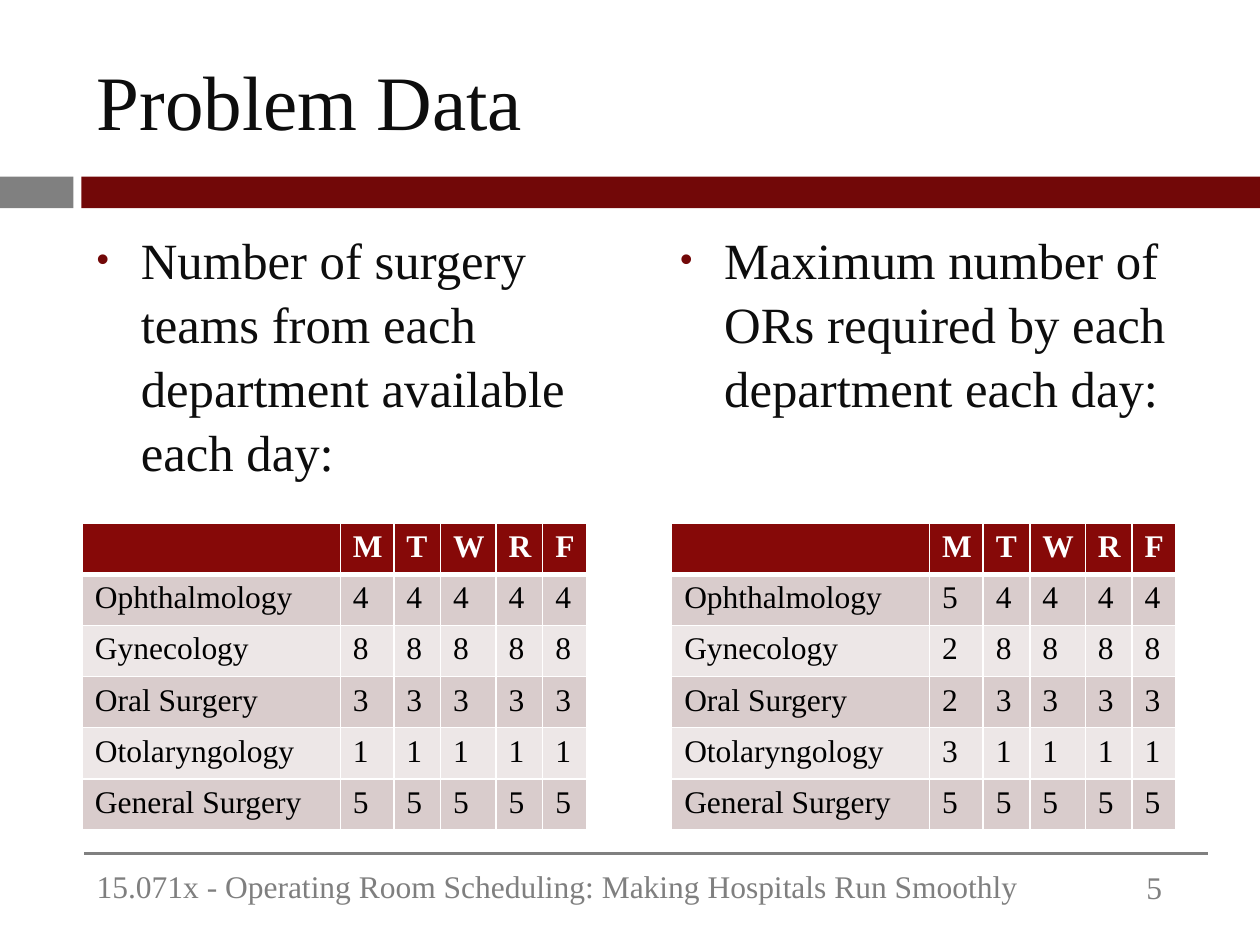
from dataclasses import dataclass

from lxml.etree import SubElement as Sub
from pptx import Presentation
from pptx.dml.color import RGBColor as Rgb
from pptx.enum.shapes import MSO_CONNECTOR as Conn, MSO_SHAPE as Shape
from pptx.enum.text import MSO_ANCHOR as Anchor
from pptx.oxml.ns import qn
from pptx.util import Cm, Pt

FONT = "Times New Roman"
RED, GREY, WHITE, INK = "720808", "808080", "FFFFFF", "0D0D0D"
HEAD, BANDS = "860908", ("D9CCCC", "EDE7E7")
DAYS = ("M", "T", "W", "R", "F")
DEPTS = ("Ophthalmology", "Gynecology", "Oral Surgery",
         "Otolaryngology", "General Surgery")
WIDTHS = (5.2, 1.08, 0.94, 1.12, 0.94, 0.88)
ROW = 1.03


@dataclass
class Box:
    left: float
    top: float
    width: float
    height: float

    def cm(self) -> tuple:
        return Cm(self.left), Cm(self.top), Cm(self.width), Cm(self.height)


@dataclass
class Panel:
    """One half of the slide: a bullet above a table of counts."""
    text: str
    left: float
    grid: float
    counts: tuple


PANELS = (
    Panel("Number of surgery teams from each department available each day:",
          1.7, 1.66, ([4] * 5, [8] * 5, [3] * 5, [1] * 5, [5] * 5)),
    Panel("Maximum number of ORs required by each department each day:",
          13.46, 13.54, ([5] + [4] * 4, [2] + [8] * 4, [2] + [3] * 4,
                         [3] + [1] * 4, [5] * 5)),
)


def paint(fmt, color: str) -> None:
    """Give a fill one solid colour."""
    fmt.solid()
    fmt.fore_color.rgb = Rgb.from_string(color)


def write(frame, text: str, size: float = 18, color: str = INK,
          bold: bool = False, anchor=Anchor.TOP):
    frame.word_wrap = True
    frame.vertical_anchor = anchor
    par = frame.paragraphs[0]
    run = par.add_run()
    run.text = text
    font = run.font
    font.name, font.size, font.bold = FONT, Pt(size), bold
    paint(font.fill, color)
    return par


def add_text(slide, box: Box, text: str, **style):
    return write(slide.shapes.add_textbox(*box.cm()).text_frame, text, **style)


def add_bar(slide, box: Box, color: str) -> None:
    bar = slide.shapes.add_shape(Shape.RECTANGLE, *box.cm())
    bar.shadow.inherit = False
    paint(bar.fill, color)
    bar.line.fill.background()


def add_rule(slide, left: float, right: float, top: float) -> None:
    rule = slide.shapes.add_connector(
        Conn.STRAIGHT, Cm(left), Cm(top), Cm(right), Cm(top))
    rule.line.width = Pt(1.5)
    paint(rule.line.fill, GREY)
    Sub(rule._element.spPr, qn("a:effectLst"))


def add_bullet(par) -> None:
    par.space_before = Pt(7)
    par.line_spacing = 1.05
    props = par._p.get_or_add_pPr()
    props.set("marL", str(Cm(0.89)))
    props.set("indent", str(-Cm(0.89)))
    Sub(Sub(props, qn("a:buClr")), qn("a:srgbClr"), val=RED)
    Sub(props, qn("a:buSzPct"), val="70000")
    Sub(props, qn("a:buFont"), typeface="Arial")
    Sub(props, qn("a:buChar"), char="•")


def add_edges(cell, top: float, bottom: float) -> None:
    """Draw white cell borders; widths are in points."""
    props = cell._tc.get_or_add_tcPr()
    for side, width in zip("LRTB", (1, 1, top, bottom)):
        edge = Sub(props, qn(f"a:ln{side}"), w=str(Pt(width)))
        Sub(Sub(edge, qn("a:solidFill")), qn("a:srgbClr"), val=WHITE)


def add_grid(slide, left: float, counts: tuple) -> None:
    rows = [("", *DAYS)] + [(d, *c) for d, c in zip(DEPTS, counts)]
    box = Box(left, 10.55, sum(WIDTHS), ROW * len(rows))
    table = slide.shapes.add_table(len(rows), len(WIDTHS), *box.cm()).table
    for col, width in zip(table.columns, WIDTHS):
        col.width = Cm(width)
    for r, row in enumerate(rows):
        table.rows[r].height = Cm(ROW)
        head = r == 0
        for c, value in enumerate(row):
            cell = table.cell(r, c)
            add_edges(cell, 3 if r == 1 else 1, 3 if head else 1)
            paint(cell.fill, HEAD if head else BANDS[(r - 1) % 2])
            if value != "":
                write(cell.text_frame, str(value), bold=head,
                      color=WHITE if head else "000000")


def main() -> None:
    deck = Presentation()
    deck.slide_width, deck.slide_height = Cm(25.4), Cm(19.05)
    slide = deck.slides.add_slide(deck.slide_layouts[6])
    add_bar(slide, Box(0, 3.56, 1.48, 0.64), GREY)
    add_bar(slide, Box(1.64, 3.56, 23.76, 0.64), RED)
    add_rule(slide, 1.7, 24.36, 17.2)
    add_text(slide, Box(1.7, 0.64, 22.66, 2.74), "Problem Data",
             size=44, anchor=Anchor.MIDDLE)
    for panel in PANELS:
        add_bullet(add_text(slide, Box(panel.left, 4.42, 10.8, 12.7),
                            panel.text, size=29))
        add_grid(slide, panel.grid, panel.counts)
    add_text(slide, Box(1.7, 17.35, 19.56, 1.02),
             "15.071x - Operating Room Scheduling: "
             "Making Hospitals Run Smoothly", color="7F7F7F")
    add_text(slide, Box(22.86, 17.38, 1.48, 1), "5", color=GREY)
    deck.save("out.pptx")


if __name__ == "__main__":
    main()
